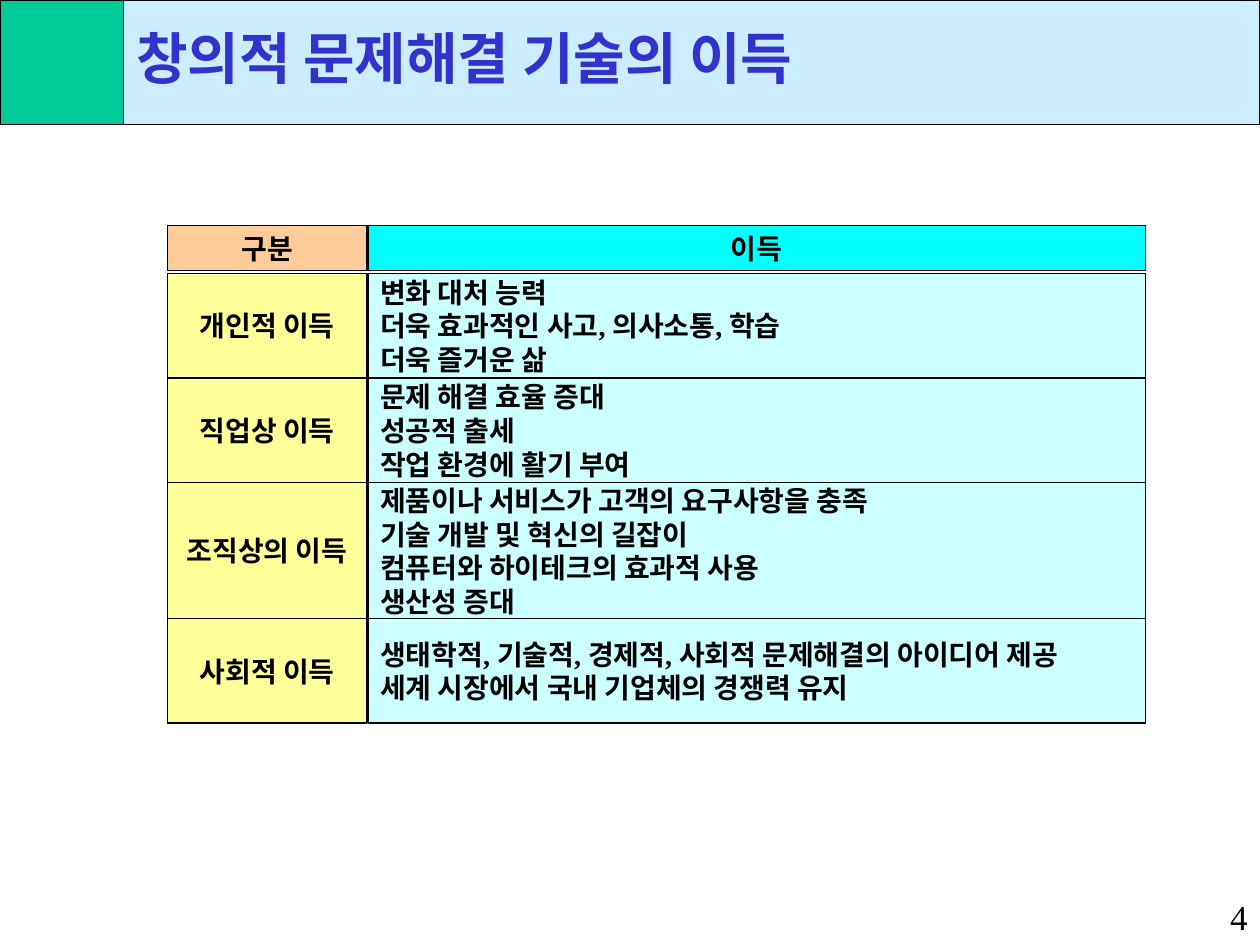
from pptx import Presentation
from pptx.dml.color import RGBColor
from pptx.enum.shapes import MSO_SHAPE
from pptx.enum.text import MSO_ANCHOR, PP_ALIGN
from pptx.util import Inches, Pt

RECT = MSO_SHAPE.RECTANGLE
MIDDLE = MSO_ANCHOR.MIDDLE
LEFT, CENTER, RIGHT = PP_ALIGN.LEFT, PP_ALIGN.CENTER, PP_ALIGN.RIGHT

# Content
TITLE = "창의적 문제해결 기술의 이득"
PAGE_NUMBER = "4"
HEADER = ("구분", ["이득"])
BENEFITS = [
    ("개인적 이득", ["변화 대처 능력", "더욱 효과적인 사고, 의사소통, 학습", "더욱 즐거운 삶"]),
    ("직업상 이득", ["문제 해결 효율 증대", "성공적 출세", "작업 환경에 활기 부여"]),
    ("조직상의 이득", ["제품이나 서비스가 고객의 요구사항을 충족", "기술 개발 및 혁신의 길잡이",
                 "컴퓨터와 하이테크의 효과적 사용", "생산성 증대"]),
    ("사회적 이득", ["생태학적, 기술적, 경제적, 사회적 문제해결의 아이디어 제공",
                "세계 시장에서 국내 기업체의 경쟁력 유지"]),
]

THEME = {
    "title_font": "Noto Sans CJK KR", "text_font": "Times New Roman",
    "title_size": 32, "grid_size": 16, "number_size": 20,
    "title": "3333CC", "text": "000000", "line": "000000",
    "band": "CCECFF", "corner": "00CC99",
    "head_label": "FFCC99", "head_benefit": "00FFFF",
    "label": "FFFF99", "benefit": "CCFFFF",
}

# Layout in inches
BAND_H, CORNER_W = 0.99, 0.98
LABEL_X, LABEL_W = 1.33, 1.58
BENEFIT_X, BENEFIT_W = 2.92, 6.17
HEAD_Y, HEAD_H = 1.79, 0.36
BODY_Y = 2.17
ROW_HEIGHTS = (0.83, 0.83, 1.08, 0.83)


def color(name):
    return RGBColor.from_string(THEME[name])


def style_text(tf, size, ink, font, align, bold=False):
    for p in tf.paragraphs:
        p.alignment = align
        for r in p.runs:
            r.font.size, r.font.bold, r.font.name = Pt(THEME[size]), bold, THEME[font]
            r.font.color.rgb = color(ink)


def add_box(s, x, y, w, h, fill):
    sp = s.shapes.add_shape(RECT, Inches(x), Inches(y), Inches(w), Inches(h))
    sp.shadow.inherit = False
    sp.fill.solid()
    sp.fill.fore_color.rgb = color(fill)
    sp.line.color.rgb = color("line")
    sp.line.width = Pt(0.75)
    return sp


def add_cell(s, x, y, w, h, fill, text, align):
    tf = add_box(s, x, y, w, h, fill).text_frame
    tf.word_wrap = True
    tf.vertical_anchor = MIDDLE
    tf.text = text
    style_text(tf, "grid_size", "text", "text_font", align, bold=True)


def add_row(s, y, h, row, label_fill, benefit_fill, benefit_align):
    label, benefits = row
    add_cell(s, BENEFIT_X, y, BENEFIT_W, h, benefit_fill, "\n".join(benefits), benefit_align)
    add_cell(s, LABEL_X, y, LABEL_W, h, label_fill, label, CENTER)


def main():
    prs = Presentation()
    prs.slide_width, prs.slide_height = Inches(10), Inches(7.5)
    s = prs.slides.add_slide(prs.slide_layouts[5])

    # Heading band with the title in front of it
    add_box(s, 0, 0, 10, BAND_H, "band")
    add_box(s, 0, 0, CORNER_W, BAND_H, "corner")
    title = s.shapes.title
    s.shapes._spTree.append(title._element)
    title.left, title.top = Inches(CORNER_W), 0
    title.width, title.height = Inches(7.67), Inches(0.91)
    title.text_frame.text = TITLE
    title.text_frame.vertical_anchor = MIDDLE
    style_text(title.text_frame, "title_size", "title", "title_font", LEFT, bold=True)

    # Header boxes, then one pair of boxes per kind of benefit
    add_row(s, HEAD_Y, HEAD_H, HEADER, "head_label", "head_benefit", CENTER)
    y = BODY_Y
    for row, height in zip(BENEFITS, ROW_HEIGHTS):
        add_row(s, y, height, row, "label", "benefit", LEFT)
        y += height

    # Page number
    number = s.shapes.add_textbox(Inches(7.92), Inches(7.06), Inches(2.08), Inches(0.44))
    number.text_frame.word_wrap = True
    number.text_frame.text = PAGE_NUMBER
    style_text(number.text_frame, "number_size", "text", "text_font", RIGHT)

    prs.save("out.pptx")


if __name__ == "__main__":
    main()
